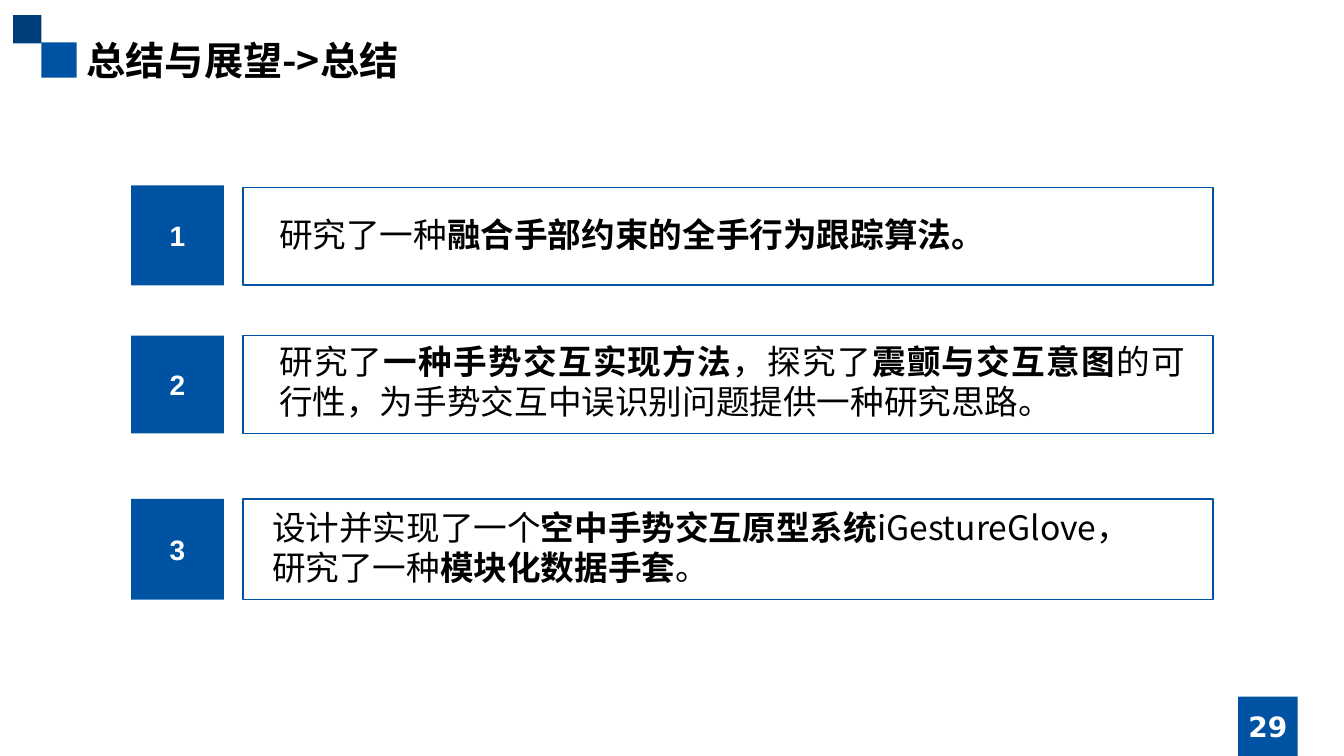
from lxml.etree import SubElement
from pptx import Presentation
from pptx.dml.color import RGBColor
from pptx.enum.shapes import MSO_SHAPE
from pptx.enum.text import MSO_ANCHOR, MSO_AUTO_SIZE, PP_ALIGN
from pptx.oxml.ns import qn
from pptx.util import Inches, Pt

COLORS = {"blue": "0053A3", "navy": "003E7A", "white": "FFFFFF", "black": "000000"}
CHINESE = "Noto Sans CJK SC"
NUMBER_LEFT, NUMBER_WIDTH = 1.3, 0.92
FRAME_LEFT, FRAME_WIDTH = 2.41, 9.62

FINDINGS = [
    {"number": (1.84, 0.99), "frame": (1.86, 0.97), "text": (2.67, 2.07, 9.02, 0.5),
     "align": PP_ALIGN.LEFT,
     "spans": [("研究了一种", False), ("融合手部约束的全手行为跟踪算法。", True)]},
    {"number": (3.33, 0.97), "frame": (3.33, 0.97), "text": (2.67, 3.33, 9.18, 0.91),
     "align": PP_ALIGN.JUSTIFY,
     "spans": [("研究了", False), ("一种手势交互实现方法", True), ("，探究了", False),
               ("震颤与交互意图", True),
               ("的可行性，为手势交互中误识别问题提供一种研究思路。", False)]},
    {"number": (4.95, 1), "frame": (4.95, 1), "text": (2.6, 4.98, 9.02, 0.91),
     "align": PP_ALIGN.LEFT,
     "spans": [("设计并实现了一个", False), ("空中手势交互原型系统", True),
               ("iGestureGlove，研究了一种", False), ("模块化数据手套", True), ("。", False)]},
]


def color(name):
    """Return the named palette colour."""
    return RGBColor.from_string(COLORS[name])


def style(para, size, face, tint, align):
    """Set the alignment and font of a paragraph for all scripts."""
    para.alignment = align
    font = para.font
    font.size = Pt(size)
    font.color.rgb = color(tint)
    font.name = face
    SubElement(para._p.pPr.find(qn("a:defRPr")), qn("a:ea"), typeface=face)


def add_spans(para, spans):
    """Add runs given as pairs of text and boldness."""
    for text, bold in spans:
        span = para.add_run()
        span.text = text
        span.font.bold = bold


def add_block(page, box, fill, line=None):
    """Draw a flat rectangle with an optional outline."""
    block = page.shapes.add_shape(MSO_SHAPE.RECTANGLE, *map(Inches, box))
    block.shadow.inherit = False
    block.fill.solid()
    block.fill.fore_color.rgb = color(fill)
    if line:
        block.line.color.rgb = color(line)
        block.line.width = Pt(1)
    else:
        block.line.fill.background()
    return block


def add_number(page, box, text, face):
    """Draw a blue block with a centred white number."""
    frame = add_block(page, box, "blue").text_frame
    frame.margin_left = frame.margin_right = 0
    frame.vertical_anchor = MSO_ANCHOR.MIDDLE
    style(frame.paragraphs[0], 20, face, "white", PP_ALIGN.CENTER)
    add_spans(frame.paragraphs[0], [(text, True)])


def add_header(page, box):
    """Place the two corner squares and the title inside the header box."""
    left, top, width, height = box
    add_block(page, (left + 0.28, top + 0.27, 0.35, 0.35), "blue")
    add_block(page, (left, top, 0.28, 0.28), "navy")
    title = page.shapes.title
    title.left, title.top = Inches(left + 0.63), Inches(top + 0.16)
    title.width, title.height = Inches(width - 0.63), Inches(height - 0.16)
    frame = title.text_frame
    frame.auto_size = MSO_AUTO_SIZE.NONE
    frame.vertical_anchor = MSO_ANCHOR.TOP
    style(frame.paragraphs[0], 28, CHINESE, "black", PP_ALIGN.LEFT)
    add_spans(frame.paragraphs[0], [("总结与展望->总结", True)])


def add_finding(page, number, finding):
    """Place one numbered finding with its outlined statement."""
    top, height = finding["frame"]
    add_block(page, (FRAME_LEFT, top, FRAME_WIDTH, height), "white", "blue")
    top, height = finding["number"]
    add_number(page, (NUMBER_LEFT, top, NUMBER_WIDTH, height), str(number), "Arial")
    frame = page.shapes.add_textbox(*map(Inches, finding["text"])).text_frame
    frame.word_wrap = True
    style(frame.paragraphs[0], 24, CHINESE, "black", finding["align"])
    add_spans(frame.paragraphs[0], finding["spans"])


def main():
    """Build and save the summary slide."""
    deck = Presentation()
    deck.slide_width, deck.slide_height = Inches(13.33), Inches(7.5)
    page = deck.slides.add_slide(deck.slide_layouts[5])
    add_header(page, (0.13, 0.15, 6.54, 0.73))
    for number, finding in enumerate(FINDINGS, 1):
        add_finding(page, number, finding)
    add_number(page, (12.28, 6.91, 0.59, 0.59), "29", "DejaVu Sans")
    deck.save("out.pptx")


if __name__ == "__main__":
    main()
